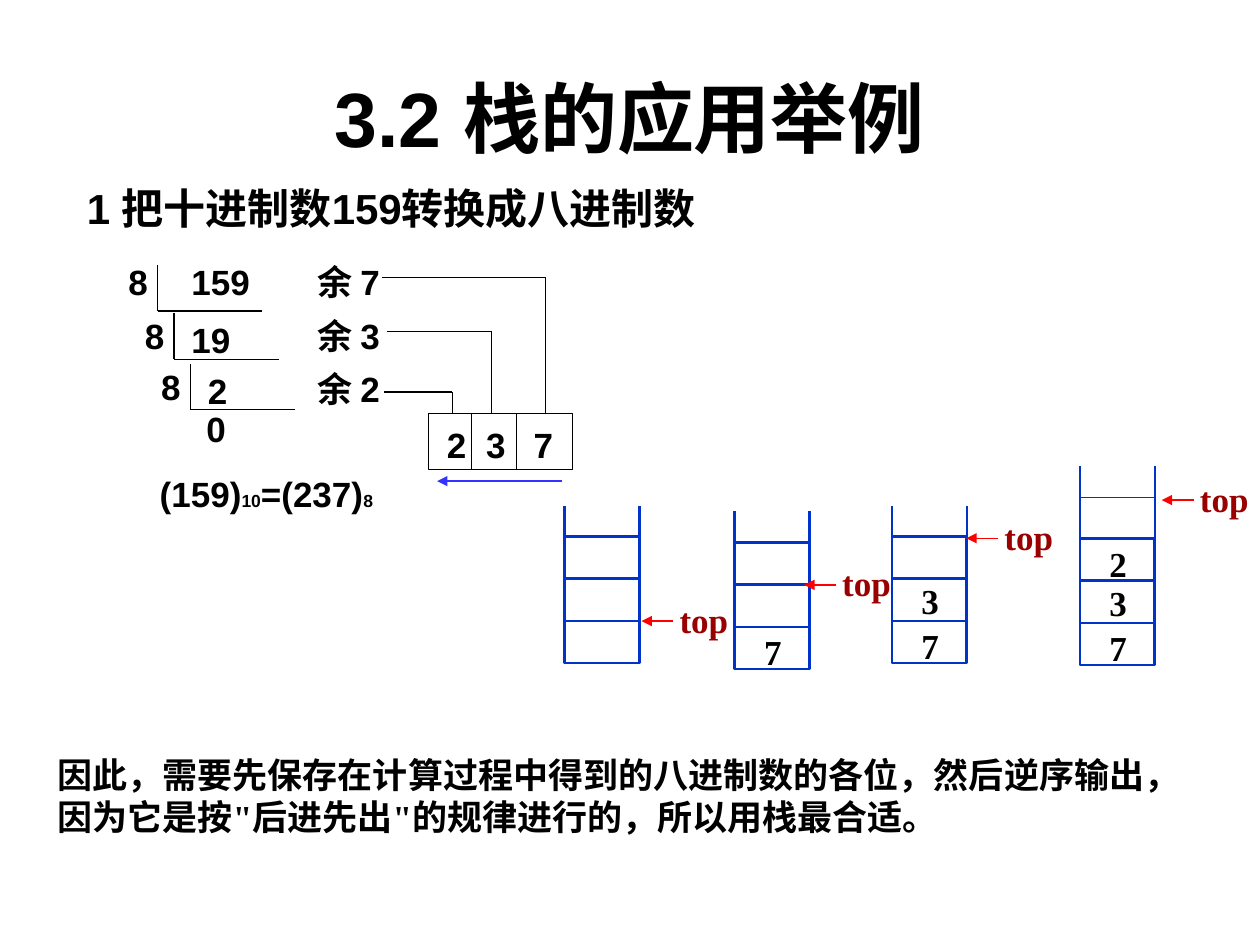
import pptx
import pptx.util
from lxml import etree
from pptx.dml.color import RGBColor
from pptx.enum.shapes import MSO_CONNECTOR, MSO_SHAPE
from pptx.enum.text import MSO_ANCHOR, MSO_AUTO_SIZE, PP_ALIGN
from pptx.oxml.ns import qn

Cm = pptx.util.Cm
Pt = pptx.util.Pt

BLACK = RGBColor(0x00, 0x00, 0x00)
WHITE = RGBColor(0xFF, 0xFF, 0xFF)
BLUE = RGBColor(0x00, 0x33, 0xCC)
VIOLET = RGBColor(0x33, 0x33, 0xFF)
RED = RGBColor(0xFF, 0x00, 0x00)
MAROON = RGBColor(0x99, 0x00, 0x00)
SANS, SERIF = "Arial", "Times New Roman"

TITLE = "3.2 栈的应用举例"
HEAD = "1 把十进制数159转换成八进制数"
RESULT = [("(159)", 20), ("10", 10), ("=(237)", 20), ("8", 10)]
NOTE = ("因此，需要先保存在计算过程中得到的八进制数的各位，然后逆序输出，"
        "因为它是按\"后进先出\"的规律进行的，所以用栈最合适。")

# Division steps: number, its left and top, top of the 8, foot of the bracket
STEPS = [
    ("159", 3.61, 5.13, 5.13, 6.27),
    ("19", 3.61, 6.3, 6.22, 7.24),
    ("2", 3.94, 7.32, 7.24, 8.26),
]
# Remainders: text, top, then the wire's start, height and end
RESTS = [
    ("余 7", 5.13, 7.7, 5.59, 11),
    ("余 3", 6.22, 7.8, 6.68, 9.91),
    ("余 2", 7.29, 7.75, 7.9, 9.12),
]
# Octal digits and the tab stops of the second and third
DIGITS, STOPS = "2\t3\t7", (0.79, 1.75)
BOX = (8.64, 8.33, 2.9, 1.13)
SPLITS = (9.5, 10.41)

# Stacks: left, foot, rim, pointer tip x and y, digits from the bottom up
STACKS = [
    (11.38, 13.37, 10.21, 12.93, 12.52, ""),
    (14.81, 13.49, 10.31, 16.21, 11.79, "7"),
    (17.98, 13.37, 10.21, 19.48, 10.85, "73"),
    (21.77, 13.41, 9.4, 23.42, 10.08, "732"),
]
CELL_W, CELL_H, CELLS = 1.51, 0.85, 3
RISES = (0.92, 1.82, 2.61)
FULL_Y = 10.03
ROW = 1.12


def add_run(para, words, size=20, font=SANS, color=BLACK):
    run = para.add_run()
    run.text = words
    run.font.size = Pt(size)
    run.font.name = font
    run.font.bold = True
    run.font.color.rgb = color


def add_text(slide, x, y, w, h, runs, font=SANS, color=BLACK, mid=False,
             wrap=False):
    """Add a text box from (words, size) runs and return its paragraph."""
    frame = slide.shapes.add_textbox(Cm(x), Cm(y), Cm(w), Cm(h)).text_frame
    frame.word_wrap = wrap
    frame.auto_size = MSO_AUTO_SIZE.SHAPE_TO_FIT_TEXT
    if mid:
        frame.vertical_anchor = MSO_ANCHOR.MIDDLE
    para = frame.paragraphs[0]
    if mid and not wrap:
        para.alignment = PP_ALIGN.CENTER
    for words, size in runs:
        add_run(para, words, size, font, color)
    return para


def add_line(slide, x1, y1, x2, y2, color=BLACK, width=0.75, arrow=False):
    line = slide.shapes.add_connector(
        MSO_CONNECTOR.STRAIGHT, Cm(x1), Cm(y1), Cm(x2), Cm(y2))
    line.line.color.rgb = color
    line.line.width = Pt(width)
    if arrow:
        etree.SubElement(line.line._get_or_add_ln(), qn("a:tailEnd"),
                         type="triangle")
    etree.SubElement(line._element.spPr, qn("a:effectLst"))


def add_box(slide, x, y, w, h, color, width, fill=None):
    box = slide.shapes.add_shape(
        MSO_SHAPE.RECTANGLE, Cm(x), Cm(y), Cm(w), Cm(h))
    box.shadow.inherit = False
    if fill is None:
        box.fill.background()
    else:
        box.fill.solid()
        box.fill.fore_color.rgb = fill
    box.line.color.rgb = color
    box.line.width = Pt(width)


def draw_steps(slide):
    for i, (num, x, y, top, foot) in enumerate(STEPS):
        left = 3.18 + 0.33 * i
        add_line(slide, left, foot - 0.93, left, foot)
        add_line(slide, left, foot, left + 2.11, foot)
        add_text(slide, x, y, 0.55 + 0.41 * len(num), ROW, [(num, 20)])
        add_text(slide, left - 0.84, top, 0.92, ROW, [("8", 20)])
    add_text(slide, 3.91, 8.1, 0.92, ROW, [("0", 20)])


def draw_rests(slide):
    left, top, wide, high = BOX
    para = add_text(slide, 8.76, 8.41, 3.05, ROW, [(DIGITS, 20)], wrap=True)
    tabs = etree.SubElement(para._p.get_or_add_pPr(), qn("a:tabLst"))
    for stop in STOPS:
        etree.SubElement(tabs, qn("a:tab"), pos=str(int(Cm(stop))), algn="l")
    add_box(slide, left, top, wide, high, BLACK, 0.75)
    for x in SPLITS:
        add_line(slide, x, top, x, top + high)
    add_line(slide, 11.33, 9.7, 8.81, 9.7, VIOLET, arrow=True)
    for words, y, start, level, end in RESTS:
        add_text(slide, 6.15, y, 1.93, ROW, [(words, 20)])
        add_line(slide, start, level, end, level)
        add_line(slide, end, level, end, top)


def draw_stack(slide, left, foot, rim, tip, level, digits):
    for x in (left, left + CELL_W):
        add_line(slide, x, foot, x, rim, BLUE, 1.5)
    for i in range(CELLS):
        add_box(slide, left, foot - CELL_H * (i + 1), CELL_W, CELL_H,
                BLUE, 1.5, WHITE)
    add_line(slide, tip + 0.64, level, tip, level, RED, arrow=True)
    add_text(slide, tip + 0.46, level - 0.6, 1.6, ROW, [("top", 20)],
             SERIF, MAROON, mid=True)
    for digit, rise in zip(digits, RISES):
        add_text(slide, left + 0.34, foot - rise, 0.86, ROW, [(digit, 20)],
                 SERIF, mid=True)


def main():
    deck = pptx.Presentation()
    deck.slide_width, deck.slide_height = Cm(25.4), Cm(19.05)
    slide = deck.slides.add_slide(deck.slide_layouts[5])

    title = slide.shapes.title
    title.left, title.top = Cm(1.27), Cm(0.76)
    title.width, title.height = Cm(22.86), Cm(3.18)
    title.text_frame.vertical_anchor = MSO_ANCHOR.MIDDLE
    para = title.text_frame.paragraphs[0]
    para.alignment = PP_ALIGN.CENTER
    add_run(para, TITLE, 44)

    add_text(slide, 1.5, 3.56, 13.39, 1.27, [(HEAD, 24)])
    add_text(slide, 2.97, 9.4, 4.8, ROW, RESULT)
    draw_steps(slide)
    draw_rests(slide)
    for stack in STACKS:
        draw_stack(slide, *stack)
    last = STACKS[-1][0]
    add_line(slide, last, FULL_Y, last + CELL_W, FULL_Y, BLUE)
    add_text(slide, 0.91, 15.06, 23.24, 1.96, [(NOTE, 20)], SERIF,
             mid=True, wrap=True)
    deck.save("out.pptx")


if __name__ == "__main__":
    main()
